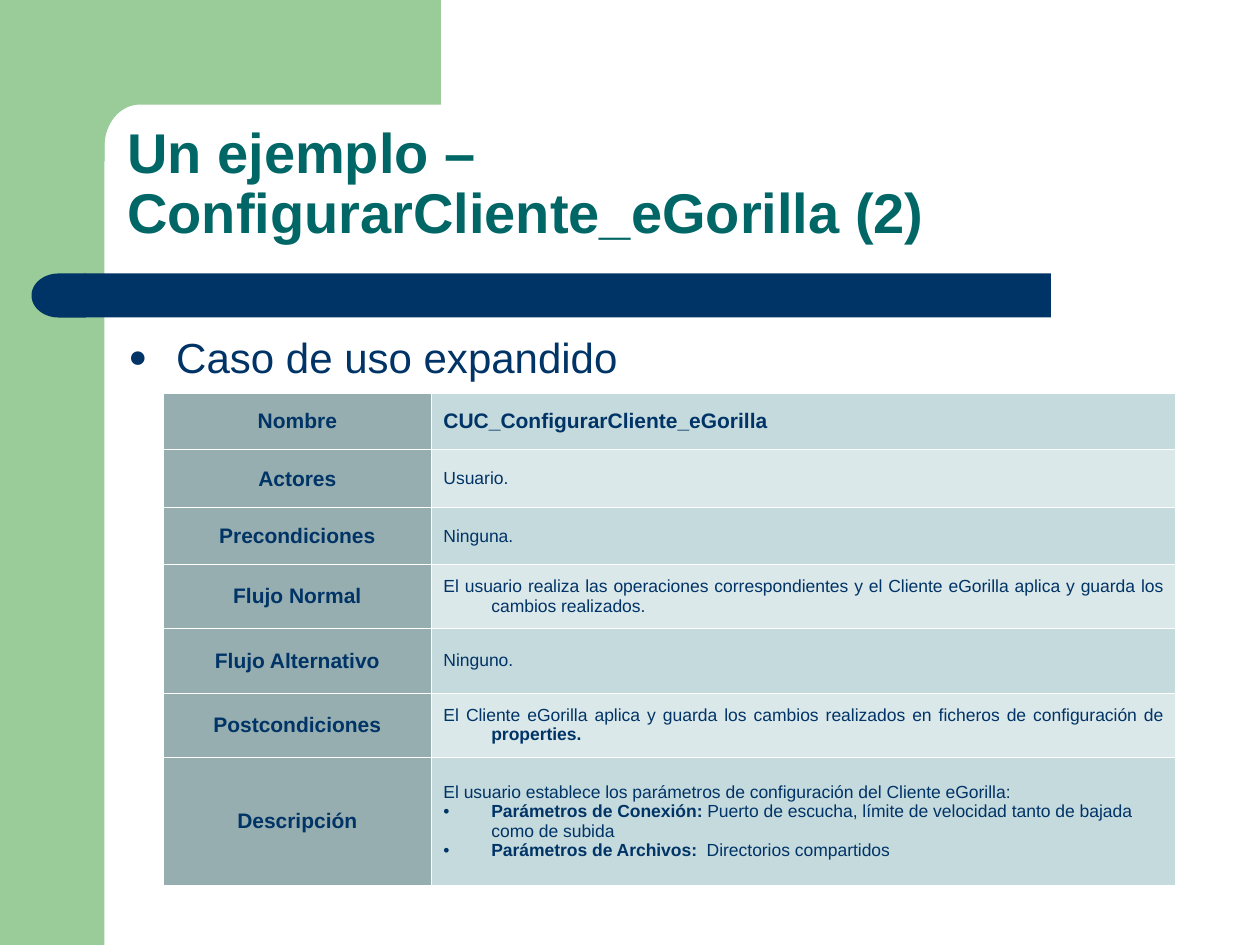
from dataclasses import dataclass
from math import cos, pi, sin

from lxml import etree
from pptx import Presentation
from pptx.dml.color import RGBColor
from pptx.enum.shapes import MSO_SHAPE
from pptx.enum.text import MSO_ANCHOR, PP_ALIGN
from pptx.oxml.ns import qn
from pptx.util import Inches, Pt

RECT, DELAY = MSO_SHAPE.RECTANGLE, MSO_SHAPE.FLOWCHART_DELAY
LEFT, MID, JUST = PP_ALIGN.LEFT, PP_ALIGN.CENTER, PP_ALIGN.JUSTIFY
GREEN = RGBColor(0x99, 0xCC, 0x99)
NAVY = RGBColor(0x00, 0x33, 0x66)
TEAL = RGBColor(0x00, 0x66, 0x66)
SLATE = RGBColor(0x96, 0xAE, 0xB0)
BANDS = RGBColor(0xC5, 0xDA, 0xDD), RGBColor(0xDB, 0xE8, 0xE9)
FONT = "Arial"


@dataclass
class Run:
    text: str
    bold: bool = False
    size: float = 10


@dataclass
class Para:
    runs: list[Run]
    align: PP_ALIGN = JUST
    bullet: str = ""
    scale: int = 100


@dataclass
class Row:
    label: str
    height: float
    paras: list[Para]


@dataclass
class Bar:
    kind: MSO_SHAPE
    box: tuple[float, float, float, float]
    color: RGBColor
    turn: int = 0


def plain(text: str) -> list[Para]:
    return [Para([Run(text)])]


BARS = [
    Bar(RECT, (0, 0, 0.83, 7.5), GREEN),
    Bar(RECT, (0.67, 2.17, 7.67, 0.35), NAVY),
    Bar(DELAY, (0.25, 2.17, 0.43, 0.35), NAVY, 180),
]
ROWS = [
    Row("Nombre", 0.45, [Para([Run("CUC_ConfigurarCliente_eGorilla", True, 12)])]),
    Row("Actores", 0.46, plain("Usuario.")),
    Row("Precondiciones", 0.45, plain("Ninguna.")),
    Row("Flujo Normal", 0.51, plain(
        "El usuario realiza las operaciones correspondientes y el Cliente "
        "eGorilla aplica y guarda los cambios realizados. ")),
    Row("Flujo Alternativo", 0.51, plain("Ninguno.")),
    Row("Postcondiciones", 0.51, [Para([
        Run("El Cliente eGorilla aplica y guarda los cambios realizados en "
            "ficheros de configuración de "),
        Run("properties.", True)])]),
    Row("Descripción", 1.02, [
        Para([Run("El usuario establece los parámetros de configuración del "
                  "Cliente eGorilla:")], LEFT),
        Para([Run("Parámetros de Conexión:", True),
              Run(" Puerto de escucha, límite de velocidad tanto de bajada "
                  "como de subida")], LEFT, "•"),
        Para([Run("Parámetros de Archivos:  ", True),
              Run("Directorios compartidos")], LEFT, "•")]),
]


def style(font, **form) -> None:
    for key, value in ({"name": FONT} | form).items():
        setattr(font, key, value)


def paint(shape, color: RGBColor) -> None:
    shape.shadow.inherit = False
    shape.fill.solid()
    shape.fill.fore_color.rgb = color
    shape.line.fill.background()


def write(frame, paras: list[Para]) -> None:
    """Fill a text frame with hanging paragraphs."""
    for i, item in enumerate(paras):
        para = frame.add_paragraph() if i else frame.paragraphs[0]
        para.alignment = item.align
        props = para._p.get_or_add_pPr()
        props.set("marL", str(Inches(0.38)))
        props.set("indent", str(Inches(-0.38)))
        if item.bullet:
            tint = etree.SubElement(props, qn("a:buClr"))
            etree.SubElement(tint, qn("a:srgbClr"), val=str(NAVY))
            etree.SubElement(props, qn("a:buSzPct"), val=str(item.scale * 1000))
            etree.SubElement(props, qn("a:buFont"), typeface=FONT)
            etree.SubElement(props, qn("a:buChar"), char=item.bullet)
        for part in item.runs:
            run = para.add_run()
            run.text = part.text
            style(run.font, size=Pt(part.size), bold=part.bold)
            run.font.color.rgb = NAVY


def edge(cell) -> None:
    """Thin white lines on all four sides, placed before the fill."""
    props = cell._tc.get_or_add_tcPr()
    for i, side in enumerate(("lnL", "lnR", "lnT", "lnB")):
        line = etree.Element(qn(f"a:{side}"), w=str(Pt(0.45)))
        fill = etree.SubElement(line, qn("a:solidFill"))
        etree.SubElement(fill, qn("a:srgbClr"), val="FFFFFF")
        props.insert(i, line)


def fill_cell(cell, paras: list[Para], color: RGBColor) -> None:
    cell.vertical_anchor = MSO_ANCHOR.MIDDLE
    cell.fill.solid()
    cell.fill.fore_color.rgb = color
    edge(cell)
    write(cell.text_frame, paras)


def add_frame(shapes) -> None:
    """Green corner with its rounded inner edge, and the bars."""
    bend = [(1.11 - 0.28 * sin(t), 1.16 - 0.33 * cos(t))
            for t in (pi / 2 * i / 16 for i in range(17))]
    pen = shapes.build_freeform(Inches(0.5), Inches(0))
    pen.add_line_segments([(Inches(x), Inches(y)) for x, y in [
        (3.5, 0), (3.5, 0.83), *bend, (0.83, 1.28), (0.5, 1.28)]])
    paint(pen.convert_to_shape(), GREEN)
    for bar in BARS:
        shape = shapes.add_shape(bar.kind, *map(Inches, bar.box))
        shape.rotation = bar.turn
        paint(shape, bar.color)


def add_title(title) -> None:
    title.left, title.top, title.width, title.height = map(
        Inches, (0.91, 0.91, 8.51, 1.09))
    frame = title.text_frame
    frame.word_wrap = True
    frame.vertical_anchor = MSO_ANCHOR.BOTTOM
    frame.text = "Un ejemplo – ConfigurarCliente_eGorilla (2)"
    para = frame.paragraphs[0]
    para.alignment, para.line_spacing = LEFT, 0.9
    style(para.font, size=Pt(32), bold=True)
    para.font.color.rgb = TEAL


def add_grid(shapes) -> None:
    table = shapes.add_table(
        len(ROWS), 2, *map(Inches, (1.3, 3.12, 8.03, 3.91))).table
    table.first_row = table.horz_banding = False
    for col, width in zip(table.columns, (2.12, 5.91)):
        col.width = Inches(width)
    for i, row in enumerate(ROWS):
        table.rows[i].height = Inches(row.height)
        label = [Para([Run(row.label, True, 12)], MID)]
        fill_cell(table.cell(i, 0), label, SLATE)
        fill_cell(table.cell(i, 1), row.paras, BANDS[i % 2])


def main() -> None:
    deck = Presentation()
    deck.slide_width, deck.slide_height = Inches(10), Inches(7.5)
    shapes = deck.slides.add_slide(deck.slide_layouts[5]).shapes
    add_frame(shapes)
    add_title(shapes.title)
    # Lead line above the table
    lead = shapes.add_textbox(*map(Inches, (0.92, 2.58, 4.12, 4.07))).text_frame
    lead.word_wrap = True
    write(lead, [Para([Run("Caso de uso expandido", size=24)], LEFT, "●", 75)])
    add_grid(shapes)
    deck.save("out.pptx")


if __name__ == "__main__":
    main()
